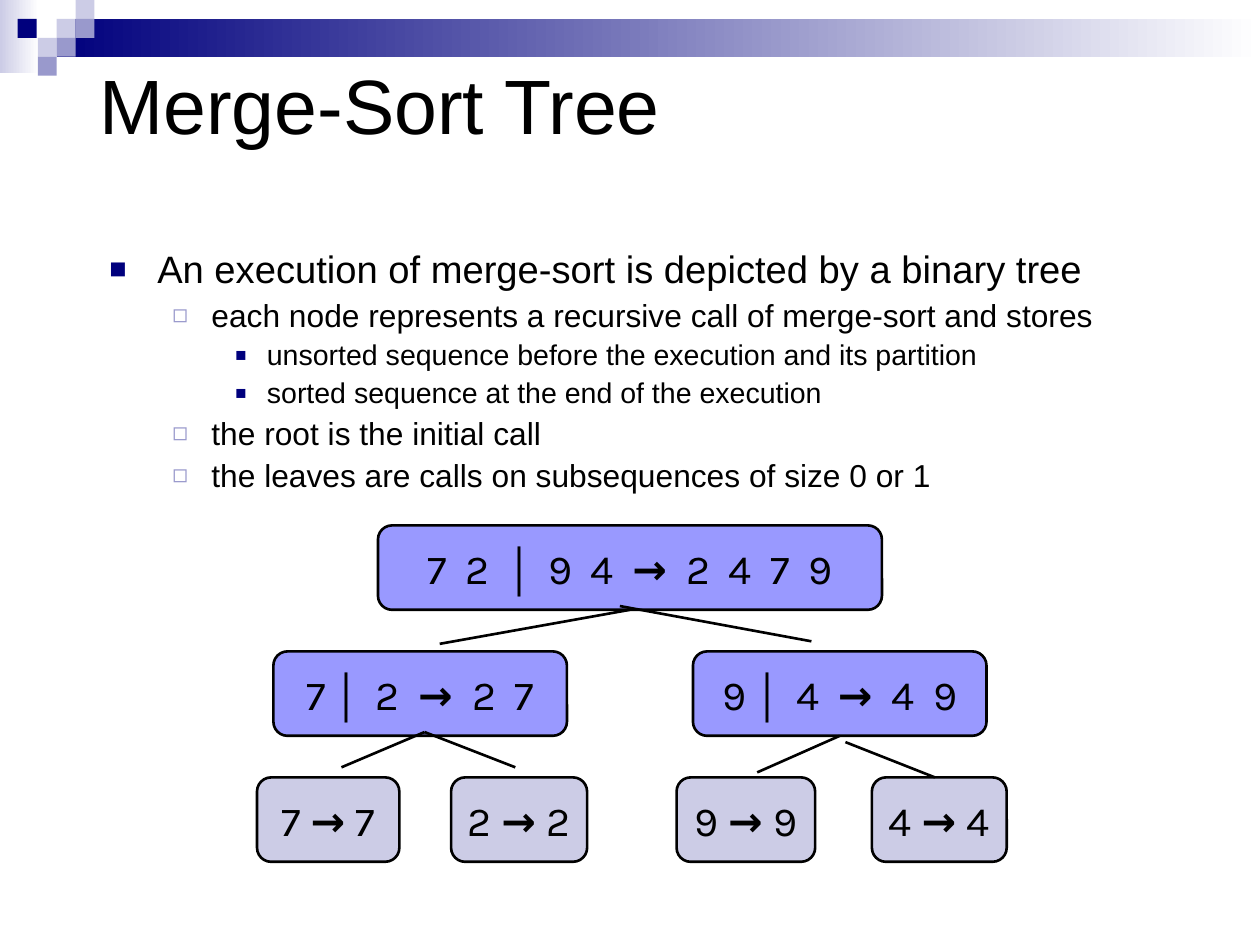
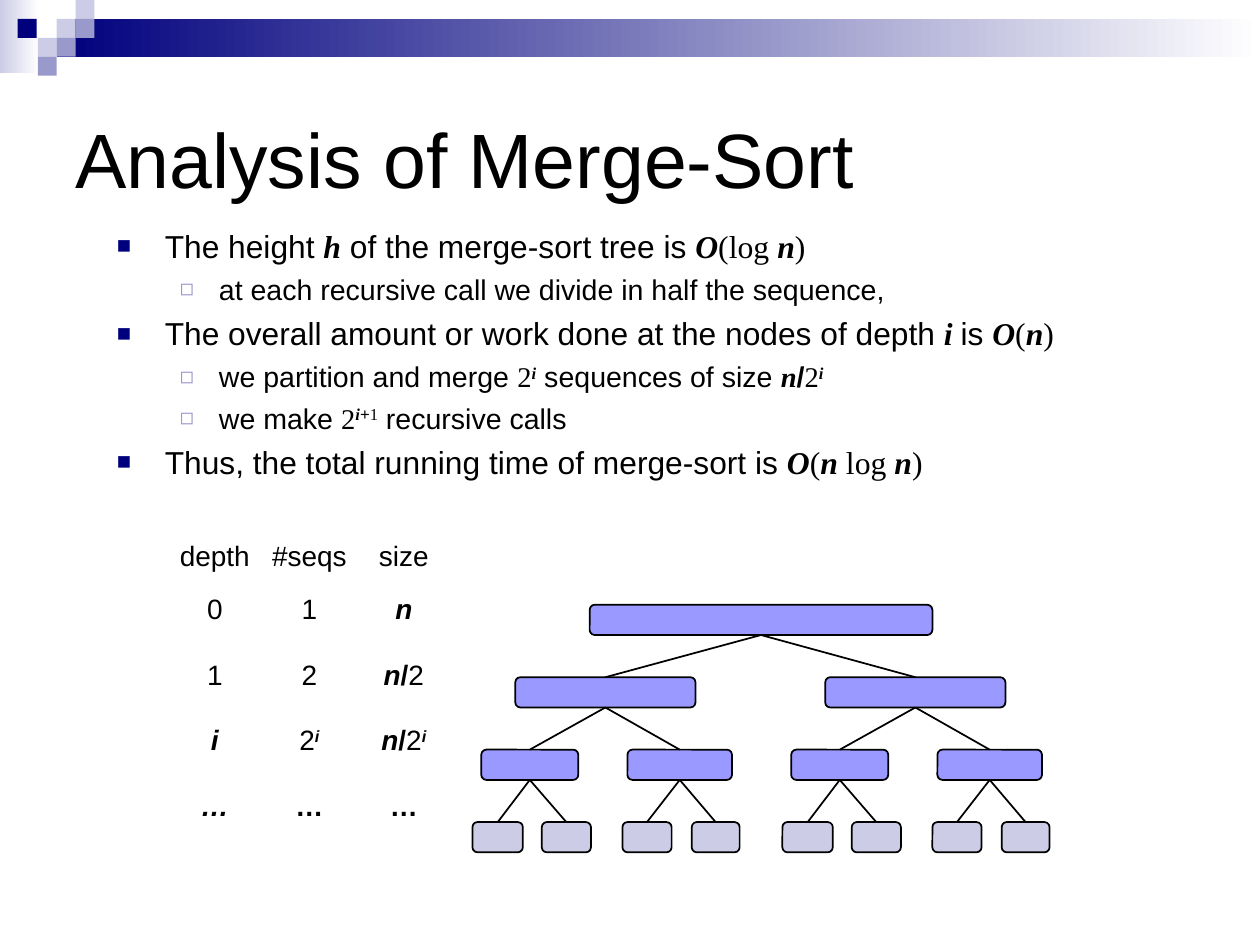
from lxml import etree
from pptx import Presentation
from pptx import util as u
from pptx.dml import color
from pptx.enum import shapes, text
from pptx.oxml import ns

INK, NAVY, MID, PALE, WHITE = "000000", "00007D", "9999CC", "CCCCE6", "FFFFFF"
NODE = "9999FF"
SANS, SERIF, DIGIT = "Arial", "Times New Roman", "Karla"

# Bullet sign, colour, size in percent, left indent, hanging indent
LEVELS = [
    ("■", NAVY, 75, 0.38, 0.38),
    ("◻", MID, 80, 0.81, 0.31),
    ("■", NAVY, 65, 1.25, 0.25),
]

# Left, top, colour of the small squares by the band
SQUARES = [
    (0.45, 0.15, PALE), (0.6, 0, PALE), (0.6, 0.15, MID), (0.3, 0.3, PALE),
    (0.14, 0.15, NAVY), (0.45, 0.3, MID), (0.3, 0.45, MID),
]


def rgb(code):
    return color.RGBColor.from_string(code)


def add_runs(para, runs, size, face=SANS):
    """Add (text, marks) runs; marks: b bold, i italic, t serif, a sans,
    ^ superscript, w wide letter gaps."""
    for run in runs:
        words, marks = (run, "") if isinstance(run, str) else run
        part = para.add_run()
        part.text = words
        font = part.font
        font.name = SERIF if "t" in marks else SANS if "a" in marks else face
        font.size = u.Pt(size)
        font.bold = "b" in marks
        font.italic = "i" in marks
        font.color.rgb = rgb(INK)
        props = part._r.get_or_add_rPr()
        if "^" in marks:
            props.set("baseline", "30000")
        if "w" in marks:
            props.set("spc", "250")


def add_box(slide, kind, left, top, width, height):
    box = slide.shapes.add_shape(
        kind, *(u.Inches(n) for n in (left, top, width, height)))
    box.shadow.inherit = False
    return box


def add_rect(slide, left, top, width, height, fill, fade=None):
    rect = add_box(slide, shapes.MSO_SHAPE.RECTANGLE, left, top, width, height)
    rect.line.fill.background()
    if fade is None:
        rect.fill.solid()
        rect.fill.fore_color.rgb = rgb(fill)
        return
    rect.fill.gradient()
    rect.fill.gradient_angle = 0
    for stop, code, place in zip(rect.fill.gradient_stops, (fill, fade), (0, 1)):
        stop.color.rgb = rgb(code)
        stop.position = place


def add_node(slide, left, top, width, height, fill, weight):
    node = add_box(slide, shapes.MSO_SHAPE.ROUNDED_RECTANGLE,
                   left, top, width, height)
    node.adjustments[0] = 0.167
    node.fill.solid()
    node.fill.fore_color.rgb = rgb(fill)
    node.line.color.rgb = rgb(INK)
    node.line.width = u.Pt(weight)
    return node


def label(node, runs):
    frame = node.text_frame
    frame.word_wrap = False
    frame.vertical_anchor = text.MSO_ANCHOR.MIDDLE
    para = frame.paragraphs[0]
    para.alignment = text.PP_ALIGN.CENTER
    add_runs(para, runs, 23.6, DIGIT)


def add_edge(slide, start, end, weight):
    """Draw a line; start may be a parent node and end a child node."""
    spots = [(0, 0) if hasattr(spot, "shape_id") else spot
             for spot in (start, end)]
    edge = slide.shapes.add_connector(
        shapes.MSO_CONNECTOR.STRAIGHT, *(u.Inches(n) for spot in spots for n in spot))
    if hasattr(start, "shape_id"):
        edge.begin_connect(start, 2)
    if hasattr(end, "shape_id"):
        edge.end_connect(end, 0)
    edge.line.color.rgb = rgb(INK)
    edge.line.width = u.Pt(weight)
    etree.SubElement(edge._element.spPr, ns.qn("a:effectLst"))


def add_text(slide, left, top, width, height):
    box = slide.shapes.add_textbox(
        *(u.Inches(n) for n in (left, top, width, height)))
    box.text_frame.word_wrap = True
    return box.text_frame


def add_title(slide, words, *place):
    frame = add_text(slide, *place)
    frame.vertical_anchor = text.MSO_ANCHOR.MIDDLE
    add_runs(frame.paragraphs[0], [words], 44)


def set_bullet(para, level):
    sign, code, size, left, hang = LEVELS[level]
    props = para._p.get_or_add_pPr()
    props.set("marL", str(u.Inches(left)))
    props.set("indent", str(-u.Inches(hang)))
    tint = etree.SubElement(props, ns.qn("a:buClr"))
    etree.SubElement(tint, ns.qn("a:srgbClr"), val=code)
    etree.SubElement(props, ns.qn("a:buSzPct"), val=str(size * 1000))
    etree.SubElement(props, ns.qn("a:buFont"), typeface=SANS)
    etree.SubElement(props, ns.qn("a:buChar"), char=sign)


def add_list(slide, place, items, sizes, pitch):
    frame = add_text(slide, *place)
    for row, (level, *runs) in enumerate(items):
        para = frame.add_paragraph() if row else frame.paragraphs[0]
        para.level = level
        para.line_spacing = pitch
        para.space_before = u.Pt(round(sizes[level] * 0.25, 1))
        set_bullet(para, level)
        add_runs(para, runs, sizes[level])


def add_grid(slide, left, top, wide, highs, rows):
    count = len(rows[0])
    grid = slide.shapes.add_table(
        len(rows), count, u.Inches(left), u.Inches(top),
        u.Inches(wide * count), u.Inches(sum(highs))).table
    grid.first_row = grid.horz_banding = False
    for col in grid.columns:
        col.width = u.Inches(wide)
    for y, row in enumerate(rows):
        grid.rows[y].height = u.Inches(highs[y])
        for x, runs in enumerate(row):
            cell = grid.cell(y, x)
            cell.fill.background()
            cell.margin_left = cell.margin_right = 0
            cell.margin_top = cell.margin_bottom = 0
            if y:
                cell.vertical_anchor = text.MSO_ANCHOR.MIDDLE
            para = cell.text_frame.paragraphs[0]
            para.alignment = text.PP_ALIGN.CENTER
            para.line_spacing = 0.93
            add_runs(para, runs, 16)


def add_page(deck):
    """Add a blank slide with the shared band and squares."""
    slide = deck.slides.add_slide(deck.slide_layouts[6])
    add_rect(slide, 0, 0, 0.31, 0.58, PALE, WHITE)
    add_rect(slide, 0.45, 0.15, 9.55, 0.3, NAVY, WHITE)
    for left, top, fill in SQUARES:
        add_rect(slide, left, top, 0.15, 0.15, fill)
    return slide


def sort_tree(slide):
    bar, arrow = ("│", "ab"), ("→ ", "bw")
    calls = [
        (3, 4.17, 4, [("7 2 ", "w"), bar, (" 9 4 ", "w"), arrow, ("2 4 7 9", "w")]),
        (2.17, 5.17, 2.33, ["7 ", bar, (" 2 ", "w"), arrow, ("2 7", "w")]),
        (5.5, 5.17, 2.33, ["9 ", bar, (" 4 ", "w"), arrow, ("4 9", "w")]),
    ]
    nodes = []
    for left, top, width, runs in calls:
        node = add_node(slide, left, top, width, 0.67, NODE, 1.5)
        label(node, runs)
        nodes.append(node)
    leaves = [(2.04, 1.13, "7"), (3.58, 1.08, "2"), (5.37, 1.1, "9"), (6.92, 1.07, "4")]
    for left, width, digit in leaves:
        leaf = add_node(slide, left, 6.17, width, 0.67, PALE, 1.5)
        label(leaf, [digit + " ", ("→ ", "b"), digit])
    root, _, right = nodes
    edges = [
        (root, (3.49, 5.11)), ((4.92, 4.81), (6.44, 5.09)),
        ((3.37, 5.81), (2.71, 6.09)), ((3.37, 5.81), (4.09, 6.09)),
        (right, (6.01, 6.13)), ((6.71, 5.89), (7.42, 6.17)),
    ]
    for start, end in edges:
        add_edge(slide, start, end, 1.5)


def depth_tree(slide):
    half = [
        [(4.09, 1.43)],
        [(3.82, 0.77), (4.98, 0.83)],
        [(3.75, 0.4), (4.3, 0.39), (4.94, 0.39), (5.49, 0.38)],
    ]
    tiers = [[(4.68, 2.72)]]
    tiers += [row + [(left + 2.46, width) for left, width in row] for row in half]
    above = []
    for depth, tier in enumerate(tiers):
        fill = PALE if depth == 3 else NODE
        nodes = [add_node(slide, left, 4.8 + 0.575 * depth, width, 0.24, fill, 1)
                 for left, width in tier]
        if above:
            for spot, node in enumerate(nodes):
                add_edge(slide, above[spot // 2], node, 1)
        above = nodes


def tree_page(deck):
    slide = add_page(deck)
    add_title(slide, "Merge-Sort Tree", 0.69, 0.2, 8.53, 1.24)
    add_list(slide, (0.77, 1.94, 8.83, 2.3), [
        (0, "An execution of merge-sort is depicted by a binary tree"),
        (1, "each node represents a recursive call of merge-sort and stores"),
        (2, "unsorted sequence before the execution and its partition"),
        (2, "sorted sequence at the end of the execution"),
        (1, "the root is the initial call"),
        (1, "the leaves are calls on subsequences of size 0 or 1"),
    ], (21.8, 18.1, 16.3), 0.9)
    sort_tree(slide)


def cost_page(deck):
    slide = add_page(deck)
    add_title(slide, "Analysis of Merge-Sort", 0.5, 0.5, 9, 1.5)
    big, var = ("O", "bit"), ("n", "bit")
    two, power = ("2", "t"), ("i", "bit^")
    shut = (")", "t")
    add_list(slide, (0.83, 1.75, 8.67, 2.42), [
        (0, "The height ", ("h", "bit"), " of the merge-sort tree is ",
         big, ("(log ", "t"), var, shut),
        (1, "at each recursive call we divide in half the sequence,"),
        (0, "The overall amount or work done at the nodes of depth ",
         ("i ", "bit"), "is ", big, ("(", "t"), var, shut),
        (1, "we partition and merge ", two, power, " sequences of size ",
         var, ("/", "b"), two, power),
        (1, "we make ", two, power, ("+", "^"), ("1", "t^"), " recursive calls"),
        (0, "Thus, the total running time of merge-sort is ",
         big, ("(", "t"), var, (" log ", "t"), var, shut),
    ], (18.1, 16.3), 1.0)
    depth_tree(slide)
    size, slash, level, dots = ("n", "bi"), ("/", "b"), ("i", "bi^"), ("…", "b")
    add_grid(slide, 1.33, 4.31, 0.75, [0.28] + [0.52] * 4, [
        [["depth"], ["#seqs"], ["size"]],
        [["0"], ["1"], [size]],
        [["1"], ["2"], [size, slash, "2"]],
        [[("i", "bi")], ["2", level], [size, slash, "2", level]],
        [[("…", "bi")], [dots], [dots]],
    ])


def main():
    deck = Presentation()
    deck.slide_width, deck.slide_height = u.Inches(10), u.Inches(7.5)
    tree_page(deck)
    cost_page(deck)
    deck.save("out.pptx")


if __name__ == "__main__":
    main()
